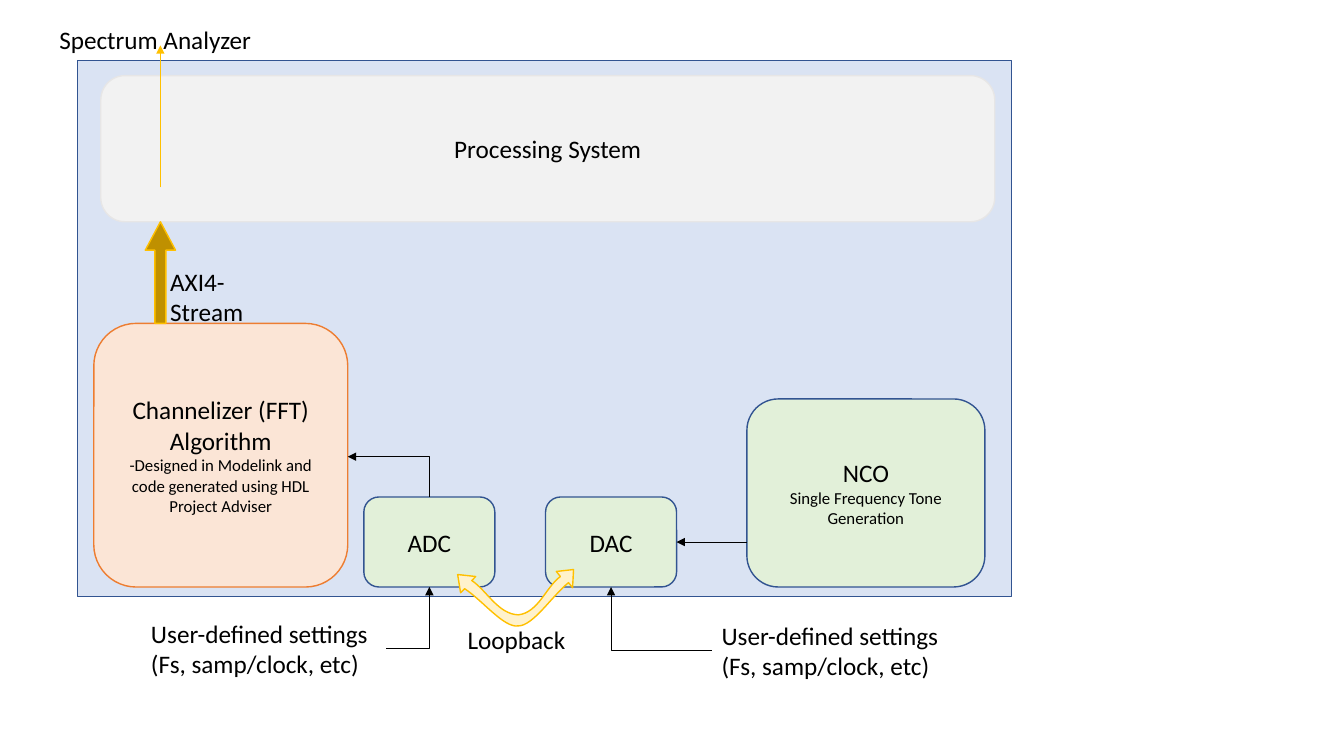
import pptx
import pptx.dml.color
import pptx.enum.shapes
import pptx.enum.text
import pptx.oxml
import pptx.oxml.ns
import pptx.util

Pt = pptx.util.Pt
SHAPE = pptx.enum.shapes.MSO_SHAPE
ALIGN = pptx.enum.text.PP_ALIGN
ANCHOR = pptx.enum.text.MSO_ANCHOR

COLORS = {
    "black": "000000", "navy": "325491", "board": "DAE3F3",
    "green": "E2F0D9", "peach": "FBE5D6", "orange": "ED7D31",
    "grey": "F2F2F2", "grey_line": "E7E6E6", "gold": "FFC000",
    "dark_gold": "BF9000", "cream": "FFF2CC",
}


def rgb(name):
    return pptx.dml.color.RGBColor.from_string(COLORS[name])


def write(tf, text, font="Calibri", size=18, small=12, color="black",
          align=ALIGN.LEFT, anchor=ANCHOR.TOP):
    """Fill a text frame; every line after the first takes the small size."""
    tf.word_wrap = True
    tf.vertical_anchor = anchor
    for i, line in enumerate(text.split("\n")):
        p = tf.add_paragraph() if i else tf.paragraphs[0]
        p.alignment = align
        r = p.add_run()
        r.text = line
        r.font.name = font
        r.font.size = Pt(small if i else size)
        r.font.color.rgb = rgb(color)


def bezier(p0, p1, p2, p3, steps=16):
    """Points along a cubic curve, without its first point."""
    for t in (i / steps for i in range(1, steps + 1)):
        u = 1 - t
        yield tuple(u**3 * a + 3 * u * u * t * b + 3 * u * t * t * c + t**3 * d
                    for a, b, c, d in zip(p0, p1, p2, p3))


class Diagram:
    def __init__(self, s, line_width=1, wire_width=0.5):
        self.s = s
        self.line_width = line_width
        self.wire_width = wire_width

    def paint(self, sp, fill, line):
        sp.shadow.inherit = False
        sp.fill.solid()
        sp.fill.fore_color.rgb = rgb(fill)
        sp.line.color.rgb = rgb(line)
        sp.line.width = Pt(self.line_width)

    def block(self, kind, x, y, w, h, fill, line, text=None, adj=()):
        sp = self.s.shapes.add_shape(kind, Pt(x), Pt(y), Pt(w), Pt(h))
        self.paint(sp, fill, line)
        for i, value in enumerate(adj):
            sp.adjustments[i] = value
        if text:
            write(sp.text_frame, text, align=ALIGN.CENTER, anchor=ANCHOR.MIDDLE)

    def label(self, x, y, w, h, text):
        sp = self.s.shapes.add_textbox(Pt(x), Pt(y), Pt(w), Pt(h))
        write(sp.text_frame, text)

    def wire(self, start, end, color="black", bent=False, arrow="tailEnd"):
        """Arrow from start to end; a bent one runs across, then up or down."""
        kinds = pptx.enum.shapes.MSO_CONNECTOR
        c = self.s.shapes.add_connector(
            kinds.ELBOW if bent else kinds.STRAIGHT,
            *(Pt(v) for v in (*start, *end)))
        c.line.color.rgb = rgb(color)
        c.line.width = Pt(self.wire_width)
        qn = pptx.oxml.ns.qn
        props = c._element.spPr
        if bent:
            props.find(qn("a:prstGeom")).set("prst", "bentConnector2")
        tip = pptx.oxml.parse_xml(
            f'<a:{arrow} {pptx.oxml.ns.nsdecls("a")} type="triangle"/>')
        props.find(qn("a:ln")).append(tip)
        props.append(pptx.oxml.parse_xml(
            f'<a:effectLst {pptx.oxml.ns.nsdecls("a")}/>'))

    def outline(self, start, steps, fill, line):
        """Closed outline; a step holds one point or three curve points."""
        points = [start]
        for step in steps:
            points += bezier(points[-1], *step) if len(step) == 3 else step
        points = [(Pt(x), Pt(y)) for x, y in points]
        fb = self.s.shapes.build_freeform(*points[0], scale=1.0)
        fb.add_line_segments(points[1:], close=True)
        self.paint(fb.convert_to_shape(), fill, line)


def main():
    prs = pptx.Presentation()
    prs.slide_width, prs.slide_height = Pt(960), Pt(540)
    d = Diagram(prs.slides.add_slide(prs.slide_layouts[6]))
    rounded = SHAPE.ROUNDED_RECTANGLE
    settings = "User-defined settings (Fs, samp/clock, etc)"
    block_bottom = 419.3
    adc_x, dac_x, converter_y, converter_w = 259.9, 389.7, 355, 93.6
    adc_mid, dac_mid = (x + converter_w / 2 for x in (adc_x, dac_x))
    stream_x = 114.6

    d.block(SHAPE.RECTANGLE, 55.4, 43.2, 667.4, 383, "board", "navy")
    for name, x in (("DAC", dac_x), ("ADC", adc_x)):
        d.block(rounded, x, converter_y, converter_w,
                block_bottom - converter_y, "green", "navy", name)
    d.block(rounded, 533.5, 285, 170, 134.3, "green", "navy",
            "NCO\nSingle Frequency Tone Generation")

    d.outline((326.9, 410.4), [
        [(339.8, 411.8)], [(337, 414.7)],
        [(347.8, 421.9), (355.7, 438.5), (370.1, 439.2)],
        [(384.5, 437.8), (390.2, 419), (400.3, 411.8)],
        [(397.4, 408.2)], [(409.7, 406.8)], [(409, 419.8)], [(406.1, 416.2)],
        [(393.8, 426.2), (380.9, 447.1), (370.1, 447.1)],
        [(360, 448.6), (344.9, 429.1), (331.9, 420.5)],
        [(329, 423.4)],
    ], "cream", "gold")
    d.label(326.9, 442.1, 92.2, 28.8, "Loopback")
    d.wire((533.5, 387.2), (dac_x + converter_w, 387.2))
    d.label(508.3, 439.2, 188.6, 51.1, settings)

    d.block(rounded, 67, 231, 181.4, 188.3, "peach", "orange",
            "Channelizer (FFT) Algorithm\n-Designed in Modelink and "
            "code generated using HDL Project Adviser")
    d.wire((248.4, 326.2), (adc_mid, converter_y), bent=True, arrow="headEnd")

    d.block(rounded, 72, 54, 638.6, 104.4, "grey", "grey_line",
            "Processing System")
    d.block(SHAPE.UP_ARROW, stream_x - 10.8, 158.4, 21.6, 72.6,
            "dark_gold", "gold", adj=(0.36, 0.94))
    d.label(114.5, 186.5, 89.3, 51.1, "AXI4-Stream")
    d.wire((stream_x, 133.9), (stream_x, 32.4), "gold")
    d.label(35.3, 13.7, 158.4, 28.8, "Spectrum Analyzer")
    d.label(100.8, 437.8, 175, 51.1, settings)
    d.wire((508.3, 464.7), (dac_mid, block_bottom), bent=True)
    d.wire((275.8, 463.3), (adc_mid, block_bottom), bent=True)

    prs.save("out.pptx")


if __name__ == "__main__":
    main()
